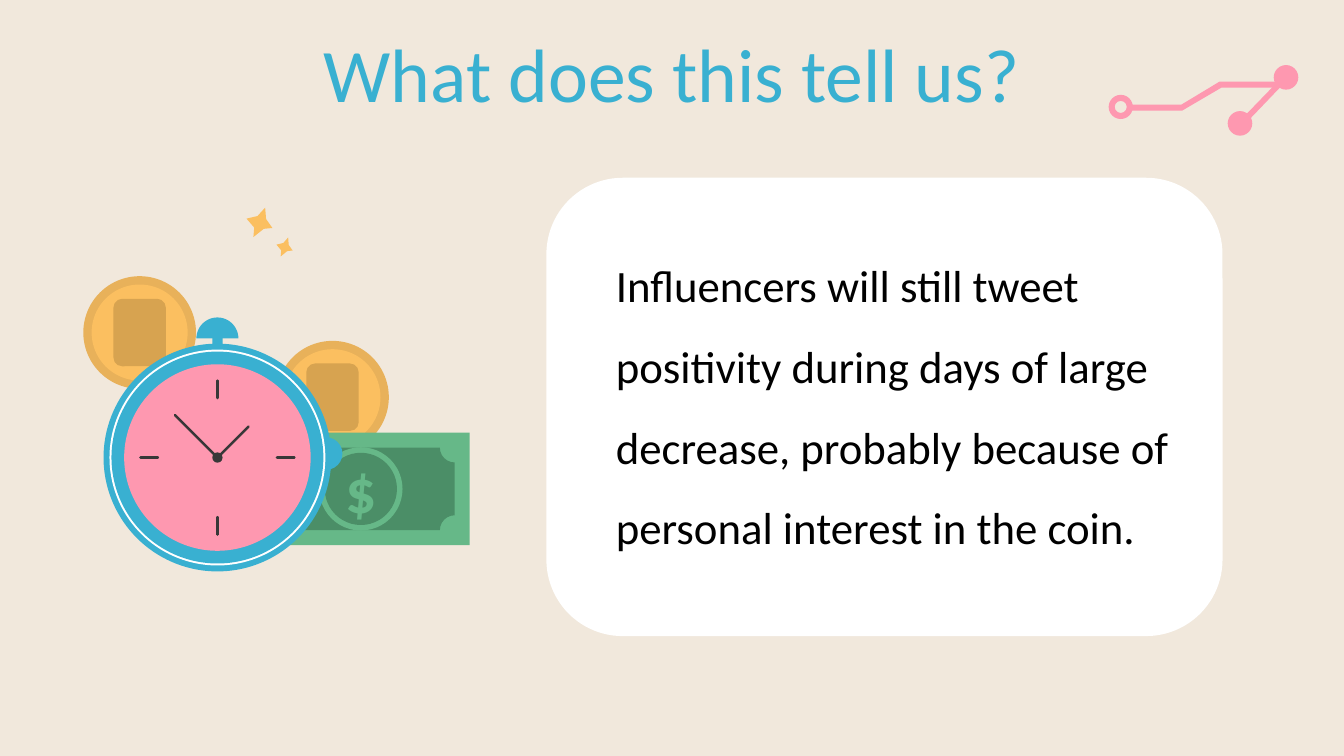
from math import cos, pi, sin

from lxml.etree import SubElement as Sub
from pptx import Presentation
from pptx.dml.color import RGBColor as Rgb
from pptx.enum.shapes import MSO_CONNECTOR as Conn, MSO_SHAPE as Kind
from pptx.enum.text import MSO_ANCHOR as Anchor, MSO_AUTO_SIZE as Auto, PP_ALIGN as Align
from pptx.oxml.ns import qn
from pptx.util import Cm, Pt

HUES = {
    "sand": "F1E8DC", "blue": "39B0D1", "pink": "FE98B0", "white": "FFFFFF",
    "black": "000000", "ink": "383838", "gold": "FBBF60", "rim": "E8B15A",
    "mark": "D7A350", "green": "66B888", "moss": "4B8E67",
}
FONT = "Calibri"


# Basic parts; all lengths in centimetres
def hue(name):
    return Rgb.from_string(HUES[name])


def paint(item, fill):
    item.shadow.inherit = False
    item.fill.solid()
    item.fill.fore_color.rgb = hue(fill)
    item.line.fill.background()
    return item


def block(area, kind, x, y, w, h, fill, bend=None):
    item = paint(area.add_shape(kind, Cm(x), Cm(y), Cm(w), Cm(h)), fill)
    if bend is not None:
        item.adjustments[0] = bend
    return item


def disc(area, x, y, r, fill):
    return block(area, Kind.OVAL, x - r, y - r, 2 * r, 2 * r, fill)


def poly(area, x, y, spots, fill):
    spots = [(Cm(x + dx), Cm(y + dy)) for dx, dy in spots]
    pen = area.build_freeform(*spots[0])
    pen.add_line_segments(spots[1:], close=True)
    return paint(pen.convert_to_shape(), fill)


def stroke(area, x, y, head, tail):
    line = area.add_connector(Conn.STRAIGHT, Cm(x + head[0]), Cm(y + head[1]),
                              Cm(x + tail[0]), Cm(y + tail[1]))
    line.line.color.rgb = hue("ink")
    line.line.width = Pt(1.75)
    props = line._element.spPr
    props.find(qn("a:ln")).set("cap", "rnd")
    Sub(props, qn("a:effectLst"))


def write(frame, text, size, fill, align):
    para = frame.paragraphs[0]
    para.alignment = align
    run = para.add_run()
    run.text = text
    run.font.name = FONT
    run.font.size = Pt(size)
    run.font.color.rgb = hue(fill)
    return para


# Title
def head(slide, x, y, w, h):
    title = slide.shapes.title
    title.left, title.top, title.width, title.height = Cm(x), Cm(y), Cm(w), Cm(h)
    frame = title.text_frame
    frame.auto_size = Auto.NONE
    frame.vertical_anchor = Anchor.TOP
    frame.margin_top = frame.margin_bottom = Cm(0.25)
    write(frame, "What does this tell us?", 54, "blue", Align.CENTER)


# Circuit ornament
def circuit(slide, x, y):
    area = slide.shapes.add_group_shape().shapes
    poly(area, x, y, [(4.29, 0.41), (4.29, 0.56), (2.84, 0.56), (1.85, 1.14),
                      (0.51, 1.14), (0.51, 0.99), (1.83, 0.99), (2.79, 0.41)], "pink")
    poly(area, x, y, [(3.51, 1.4), (4.39, 0.48), (4.29, 0.38), (3.4, 1.3)], "pink")
    block(area, Kind.DONUT, x, y + 0.74, 0.61, 0.61, "pink", 0.25)
    for dx, dy in [(3.31, 1.46), (4.47, 0.3)]:
        disc(area, x + dx, y + dy, 0.31, "pink")


# Message card
def card(slide, x, y, w, h):
    block(slide.shapes, Kind.ROUNDED_RECTANGLE, x, y, w, h, "white")
    box = slide.shapes.add_textbox(Cm(x + 1.5), Cm(y + 1.22), Cm(15.77), Cm(12.78))
    box.text_frame.word_wrap = True
    para = write(box.text_frame,
                 "Influencers will still tweet positivity during days of large "
                 "decrease, probably because of personal interest in the coin.",
                 32, "black", Align.LEFT)
    para.line_spacing = 1.5


# Coin with a plain mark
def coin(area, x, y, r=1.42):
    disc(area, x + r, y + r, r, "rim")
    disc(area, x + r, y + r, 1.21, "gold")
    block(area, Kind.ROUNDED_RECTANGLE, x + 0.76, y + 0.57, 1.32, 1.7, "mark")


# Banknote
def bill(area, x, y, w, h):
    rim = 0.38
    block(area, Kind.RECTANGLE, x, y, w, h, "green")
    block(area, Kind.PLAQUE, x + rim, y + rim, w - 2 * rim, h - 2 * rim, "moss", 0.18)
    disc(area, x + w / 2, y + h / 2, 1.05, "green")
    seal = disc(area, x + w / 2, y + h / 2, 0.91, "moss")
    frame = seal.text_frame
    frame.margin_left = frame.margin_right = frame.margin_top = frame.margin_bottom = 0
    frame.word_wrap = False
    frame.vertical_anchor = Anchor.MIDDLE
    write(frame, "$", 44, "green", Align.CENTER).runs[0].font.bold = True


# Stopwatch around its centre
def watch(area, x, y):
    disc(area, x + 2.74, y - 0.1, 0.41, "blue")
    block(area, Kind.RECTANGLE, x - 0.13, y - 3.25, 0.26, 0.5, "blue")
    for r, fill in [(2.87, "blue"), (2.72, "white"), (2.67, "blue"), (2.35, "pink")]:
        disc(area, x, y, r, fill)
    dome = [(0.53 * cos(pi * i / 24), -0.53 * sin(pi * i / 24)) for i in range(25)]
    poly(area, x, y - 3, dome, "blue")
    for dx, dy in [(0, -1), (-1, 0), (0, 1), (1, 0)]:
        stroke(area, x, y, (1.5 * dx, 1.5 * dy), (1.94 * dx, 1.94 * dy))
    disc(area, x, y, 0.13, "ink")
    for tip in [(-1.07, -1.07), (0.78, -0.78)]:
        stroke(area, x, y, (0, 0), tip)


# Sparkle
def spark(area, x, y, w, h):
    rays = [(0.57, 0), (0.37, 0.32), (0, 0.48), (0.35, 0.7),
            (0.4, 1), (0.7, 0.67), (1, 0.58), (0.7, 0.35)]
    star = poly(area, x, y, [(w * dx, h * dy) for dx, dy in rays], "gold")
    star.rotation = 13.3


# Money and time scene
def scene(slide, x, y):
    area = slide.shapes.add_group_shape().shapes
    coin(area, x + 4.86, y + 3.38)
    coin(area, x, y + 1.75)
    bill(area, x + 4.25, y + 5.69, 5.49, 2.84)
    watch(area, x + 3.38, y + 6.32)
    sky = slide.shapes.add_group_shape().shapes
    spark(sky, x + 4.1, y, 0.69, 0.79)
    spark(sky, x + 4.86, y + 0.76, 0.43, 0.51)


def main():
    deck = Presentation()
    deck.slide_width, deck.slide_height = Cm(33.87), Cm(19.05)
    slide = deck.slides.add_slide(deck.slide_layouts[5])
    slide.background.fill.solid()
    slide.background.fill.fore_color.rgb = hue("sand")
    circuit(slide, 27.94, 1.65)
    head(slide, 2.64, 0.43, 28.58, 2.13)
    card(slide, 13.77, 4.48, 17.04, 11.55)
    scene(slide, 2.1, 5.21)
    deck.save("out.pptx")


if __name__ == "__main__":
    main()
